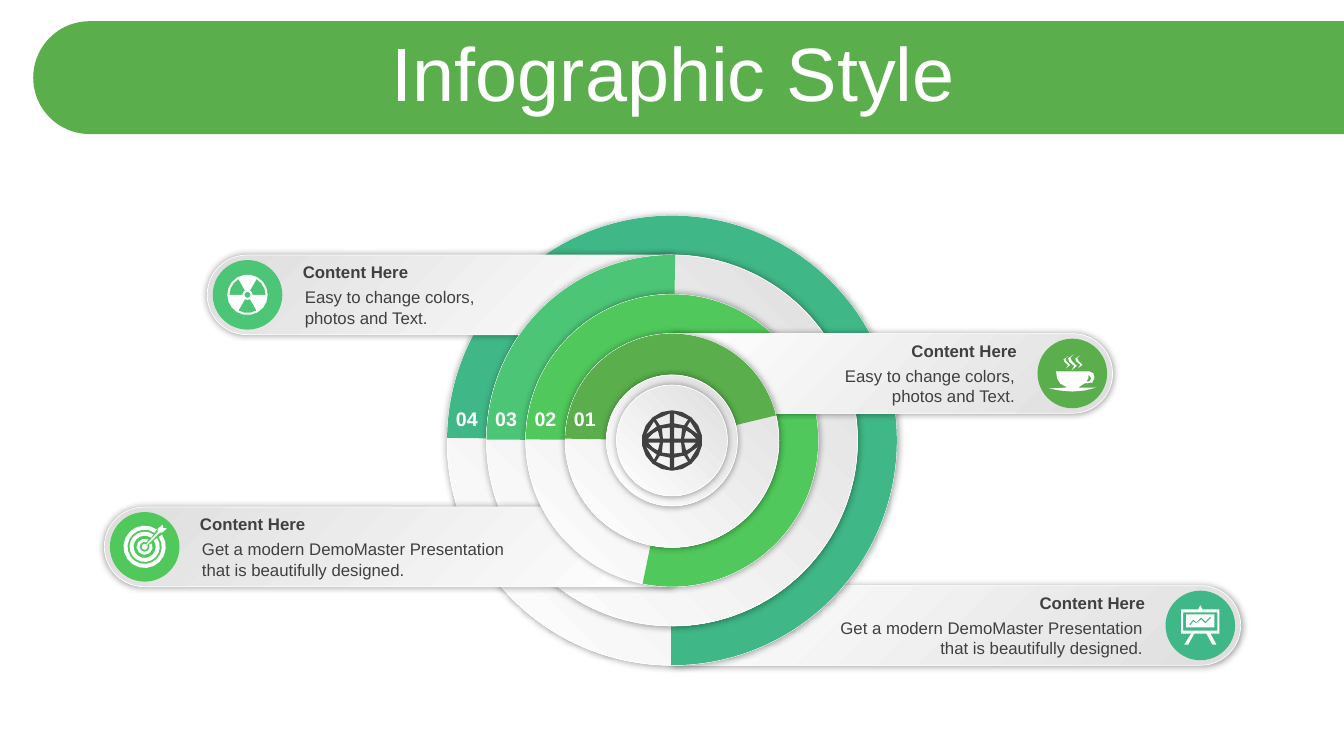
from dataclasses import dataclass
from itertools import product
from math import cos, radians, sin

from lxml.etree import SubElement
from pptx import Presentation
from pptx.dml.color import RGBColor
from pptx.enum.shapes import MSO_SHAPE as Shape
from pptx.enum.text import MSO_ANCHOR as Anchor, MSO_AUTO_SIZE as AutoSize, PP_ALIGN as Align
from pptx.oxml.ns import qn
from pptx.util import Inches, Pt


@dataclass(frozen=True)
class Theme:
    font: str = "Arial"
    white: str = "FFFFFF"
    shade: str = "DEDEDE"
    ink: str = "404040"
    banner: str = "5AAE4C"
    title_size: int = 54
    number_size: int = 14
    text_size: int = 12


# Content, from the outer ring inwards
TITLE = "Infographic Style"
HEADING = "Content Here"
LONG = "Get a modern DemoMaster Presentation that is beautifully designed."
SHORT = "Easy to change colors, photos and Text."
# number, body, colour, pie start and end in degrees, side (1 right, -1 left),
# edge (1 bottom, -1 top), bar length, text width
RINGS = [
    ("04", LONG, "40B786", 180.65, 90.22, 1, 1, 5.64, 3.47),
    ("03", SHORT, "4CC576", 180.27, 270.98, -1, -1, 4.61, 1.97),
    ("02", LONG, "50C85B", 180.42, 101.58, -1, 1, 5.63, 3.47),
    ("01", SHORT, "5AAE4C", 180.98, 346.45, 1, -1, 4.37, 1.97),
]

# Layout
THEME = Theme()
WIDTH, HEIGHT = 13.33, 7.5
CENTER_X, CENTER_Y = WIDTH / 2, 4.37
OUTER_RADIUS, RING_STEP, BAR_HEIGHT = 2.23, 0.39, 0.79
BADGE, BADGE_INSET, TEXT_INSET = 0.69, 0.4, 0.85

deck = Presentation()
deck.slide_width, deck.slide_height = Inches(WIDTH), Inches(HEIGHT)
page = deck.slides.add_slide(deck.slide_layouts[5])


def color(code):
    return RGBColor.from_string(code)


def add_shape(kind, left, top, width, height, fill=None):
    """Flat shape in one colour, or a raised grey one when no fill is given."""
    shape = page.shapes.add_shape(kind, *map(Inches, (left, top, width, height)))
    shape.shadow.inherit = False
    if fill:
        shape.fill.solid()
        shape.fill.fore_color.rgb = color(fill)
        shape.line.fill.background()
        return shape
    shape.fill.gradient()
    shape.fill.gradient_angle = 225
    for stop, code in zip(shape.fill.gradient_stops, (THEME.shade, THEME.white)):
        stop.color.rgb = color(code)
    shape.line.color.rgb = color(THEME.white)
    shape.line.width = Pt(0.5)
    effects = shape._element.spPr.find(qn("a:effectLst"))
    shadow = SubElement(effects, qn("a:outerShdw"), blurRad=str(Pt(5)), dist="0",
                        dir="0", algn="ctr", rotWithShape="0")
    black = SubElement(shadow, qn("a:srgbClr"), val="000000")
    SubElement(black, qn("a:alpha"), val="40000")
    return shape


def add_disc(x, y, radius, fill=None, kind=Shape.OVAL):
    return add_shape(kind, x - radius, y - radius, 2 * radius, 2 * radius, fill)


def add_bar(left, top, length, height, side, fill=None):
    """Horizontal bar, rounded at its right (1) or left (-1) end."""
    bar = add_shape(Shape.ROUND_2_SAME_RECTANGLE, left + (length - height) / 2,
                    top + (height - length) / 2, height, length, fill)
    bar.rotation = 90 * side % 360
    bar.adjustments[0] = 0.5


def style(paragraph, size, code, align, bold=False):
    paragraph.alignment = align
    font = paragraph.font
    font.name, font.size, font.bold = THEME.font, Pt(size), bold
    font.color.rgb = color(code)


def add_text(text, left, top, width, height, *look):
    frame = page.shapes.add_textbox(*map(Inches, (left, top, width, height))).text_frame
    frame.word_wrap = True
    frame.text = text
    style(frame.paragraphs[0], *look)


# Icon outlines, in inches around the icon's own centre
def arc(radius, start=0, end=360):
    steps = round(abs(end - start) / (20 if radius > 0.1 else 40))
    angles = [radians(start + (end - start) * i / steps) for i in range(steps + 1)]
    return [(radius * cos(a), radius * sin(a)) for a in angles]


def band(inner, outer, start, end):
    return arc(outer, start, end) + arc(inner, end, start)


def box(left, top, right, bottom):
    return [(left, top), (right, top), (right, bottom), (left, bottom)]


def add_icon(x, y, outlines, fill):
    builder = None
    for outline in outlines:
        points = [(Inches(x + dx), Inches(y + dy)) for dx, dy in outline]
        if builder is None:
            builder = page.shapes.build_freeform(*points[0])
        else:
            builder.move_to(*points[0])
        builder.add_line_segments(points[1:], close=True)
    icon = builder.convert_to_shape()
    icon.shadow.inherit = False
    icon.fill.solid()
    icon.fill.fore_color.rgb = color(fill)
    icon.line.fill.background()
    return icon


EASEL = [
    [(-0.02, -0.16), (0, -0.2), (0.02, -0.16), (0.19, -0.16), (0.19, 0.08), (0.1, 0.08),
     (0.16, 0.19), (0.12, 0.19), (0.06, 0.08), (-0.06, 0.08), (-0.12, 0.19), (-0.16, 0.19),
     (-0.09, 0.08), (-0.19, 0.08), (-0.19, -0.16)],
    box(-0.17, -0.13, 0.17, 0.05),
    box(-0.14, -0.11, 0.14, 0.02),
    [(0.1, -0.09), (0.05, -0.04), (0.01, -0.08), (-0.04, -0.03), (-0.07, -0.06), (-0.11, -0.01),
     (-0.1, 0), (-0.07, -0.04), (-0.04, -0.02), (0.01, -0.06), (0.05, -0.02), (0.11, -0.08)],
]
RADIATION = [arc(0.2), arc(0.03)] + [band(0.05, 0.18, a, a + 60) for a in (60, 180, 300)]
TARGET = [band(inner, outer, gap - 45, 315 - gap) for inner, outer, gap in
          [(0.17, 0.21, 10), (0.11, 0.15, 10), (0.05, 0.08, 20)]]
TARGET += [arc(0.03), [(0.18, -0.22), (0.18, -0.19), (0.22, -0.18), (0.17, -0.14), (0.15, -0.14),
                       (0.02, -0.01), (0.01, -0.02), (0.13, -0.15), (0.13, -0.18)]]
WISP = [(0, 0), (-0.24, 0.2), (-0.15, 0.42), (0.16, 0.72), (-0.17, 1), (0, 0.74),
        (-0.32, 0.45), (-0.38, 0.25)]
CUP = [
    [(-0.16, -0.02), (0.17, -0.02), (0.21, 0), (0.22, 0.04), (0.2, 0.09), (0.12, 0.1),
     (0.06, 0.14), (0.24, 0.14), (0.12, 0.17), (0, 0.18), (-0.12, 0.17), (-0.23, 0.15),
     (-0.05, 0.14), (-0.12, 0.1), (-0.15, 0.05)],
    [(0.16, 0.01), (0.16, 0.05), (0.14, 0.08), (0.17, 0.08), (0.19, 0.05)],
]
CUP += [[(x + dx * size, y + dy * size) for dx, dy in WISP] for x, y, size in
        [(-0.04, -0.17, 0.12), (0.08, -0.18, 0.13), (0.02, -0.19, 0.16)]]
GLOBE_CELLS = [
    [(0.02, 0.02), (0.13, 0.02), (0.12, 0.1), (0.02, 0.09)],
    [(0.17, 0.02), (0.27, 0.02), (0.21, 0.16), (0.15, 0.12)],
    [(0.02, 0.12), (0.1, 0.14), (0.07, 0.19), (0.02, 0.24)],
    [(0.06, 0.26), (0.19, 0.18), (0.14, 0.15)],
]
GLOBE = [arc(0.3)] + [[(x * flip_x, y * flip_y) for x, y in cell]
                      for cell, flip_x, flip_y in product(GLOBE_CELLS, (1, -1), (1, -1))]
ICONS = [EASEL, RADIATION, TARGET, CUP]

# Banner and title
add_bar(0.33, 0.21, 13, 1.12, -1, THEME.banner)
title = page.shapes.title
page.shapes._spTree.append(title._element)
title.left, title.top, title.width, title.height = map(Inches, (0.35, 0.37, 12.66, 0.79))
title.text_frame.text = TITLE
title.text_frame.auto_size = AutoSize.NONE
title.text_frame.vertical_anchor = Anchor.MIDDLE
title.text_frame.paragraphs[0].line_spacing = 0.9
style(title.text_frame.paragraphs[0], THEME.title_size, THEME.white, Align.CENTER)

# Bars and rings, then the hub
radii = [OUTER_RADIUS - RING_STEP * i for i in range(len(RINGS))]
bar_tops = []
for radius, (_, _, fill, start, end, side, edge, length, _) in zip(radii, RINGS):
    top = CENTER_Y - radius if edge < 0 else CENTER_Y + radius - BAR_HEIGHT
    bar_tops.append(top)
    add_bar(CENTER_X if side > 0 else CENTER_X - length, top, length, BAR_HEIGHT, side)
    add_disc(CENTER_X, CENTER_Y, radius)
    pie = add_disc(CENTER_X, CENTER_Y, radius, fill, Shape.PIE)
    pie.adjustments[0], pie.adjustments[1] = start * 0.6, end * 0.6
for radius in (0.65, 0.55):
    add_disc(CENTER_X, CENTER_Y, radius)
add_icon(CENTER_X, CENTER_Y, GLOBE, THEME.ink).rotation = 270

# Badges, captions and numbers
for radius, top, icon, ring in zip(radii, bar_tops, ICONS, RINGS):
    number, body, fill, _, _, side, _, length, width = ring
    tip = CENTER_X + side * length
    badge_x, badge_y = tip - side * BADGE_INSET, top + BAR_HEIGHT / 2
    add_disc(badge_x, badge_y, BADGE / 2, fill)
    add_icon(badge_x, badge_y, icon, THEME.white)
    left = tip - TEXT_INSET - width if side > 0 else tip + TEXT_INSET
    align = Align.RIGHT if side > 0 else Align.LEFT
    add_text(body, left + 0.02, top + 0.27, width - 0.04, 0.5, THEME.text_size, THEME.ink, align)
    add_text(HEADING, left, top + 0.02, width, 0.3, THEME.text_size, THEME.ink, align, True)
    add_text(number, CENTER_X - radius - 0.05, 3.99, 0.49, 0.34,
             THEME.number_size, THEME.white, Align.CENTER, True)

deck.save("out.pptx")
